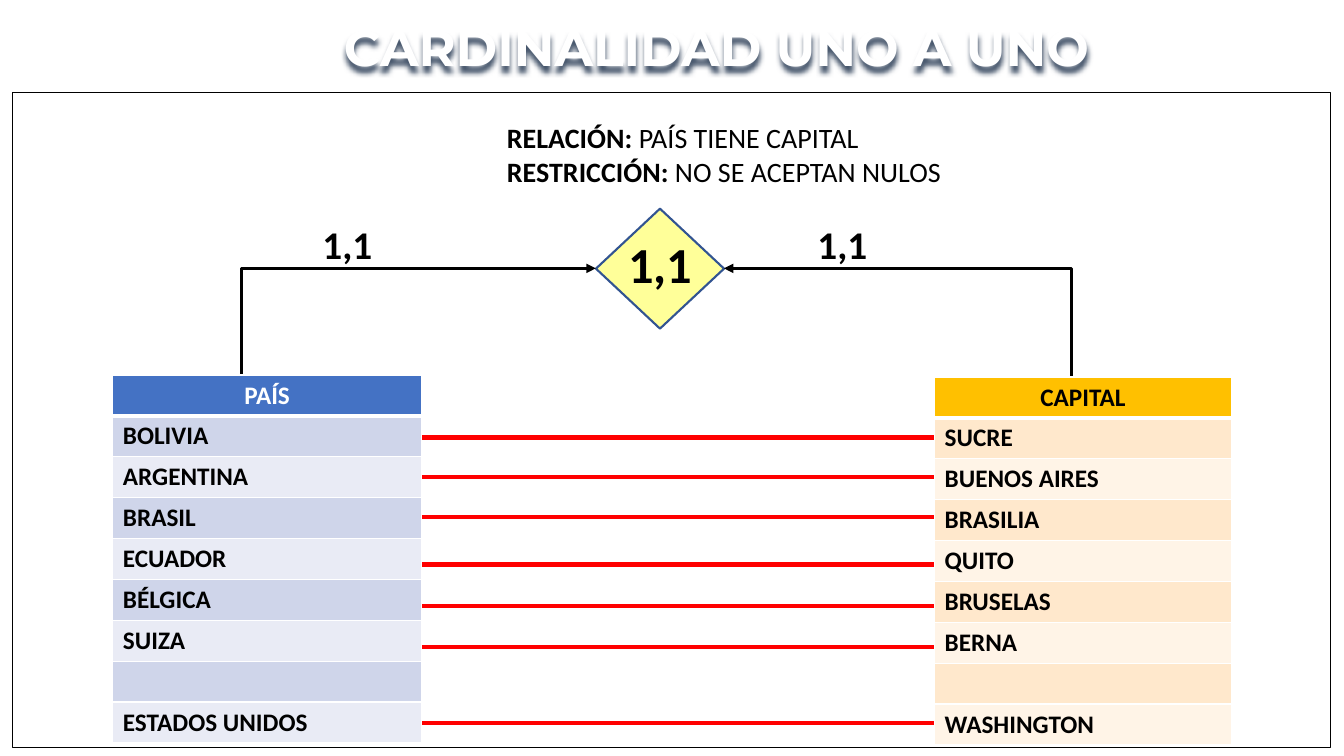
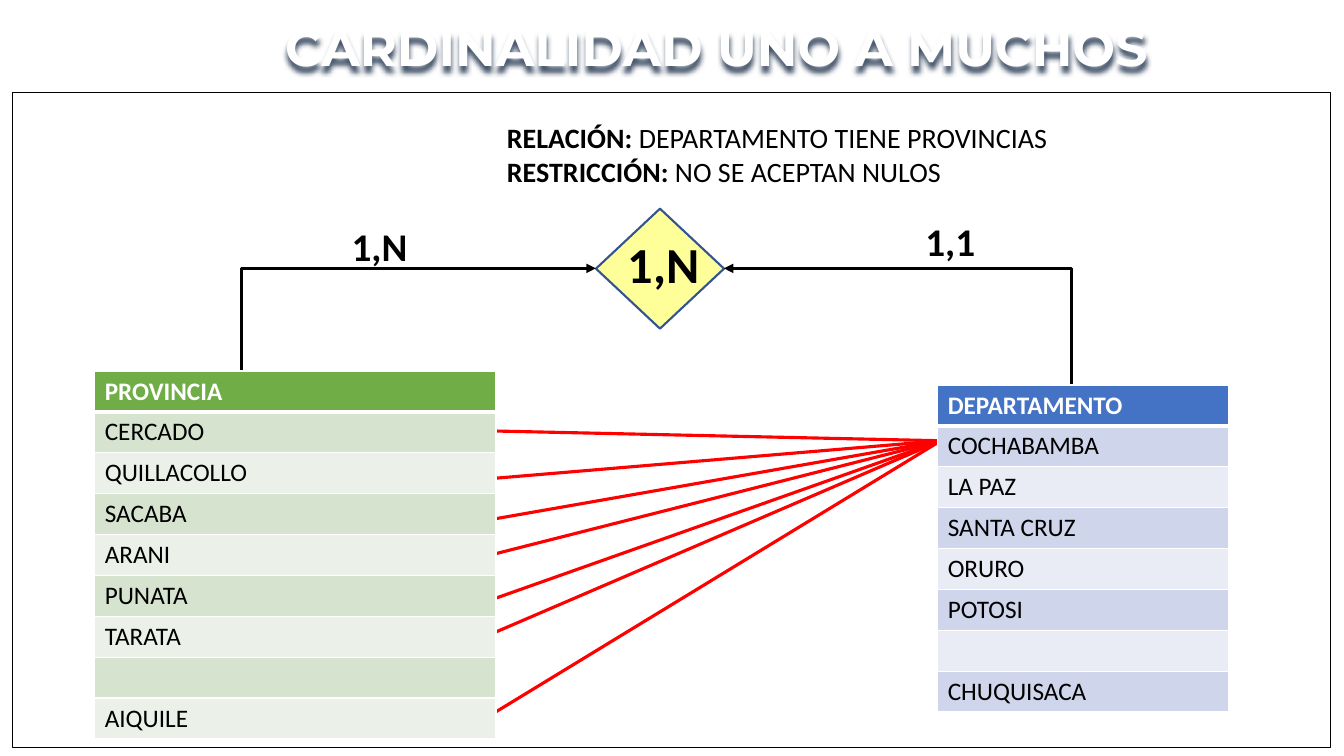
from lxml.etree import SubElement
from pptx import Presentation
from pptx.dml.color import RGBColor
from pptx.enum.shapes import MSO_CONNECTOR, MSO_SHAPE
from pptx.enum.text import MSO_AUTO_SIZE, PP_ALIGN
from pptx.oxml import parse_xml
from pptx.oxml.ns import nsdecls, qn
from pptx.util import Inches, Pt

W, H = Inches(13.33), Inches(7.5)
BLACK, WHITE, RED, YELLOW, NAVY = "000000", "FFFFFF", "FF0000", "FFFF99", "325491"
BLUE = ("4472C4", "CFD5EA", "E9EBF5")
GOLD = ("FFC000", "FFE8CC", "FFF4E7")
GREEN = ("70AD47", "D5E3CF", "EBF1E9")
FRAME = (0.9, 12.27, 98.12, 86.67)
TITLE = (10.73, 2.13, 85.15, 8.13)
DIAMOND = (44.34, 27.6, 9.53, 15.87)
ELBOWS = [(18, 58.27, 44.34, 35.5), (79.75, 56.9, 53.87, 35.5)]
ROW = 5.41
SHADOW = (
    f'<a:effectLst {nsdecls("a")}><a:outerShdw blurRad="50800" dist="50800" dir="5400000" '
    'algn="t" rotWithShape="0"><a:srgbClr val="44546A"/></a:outerShdw></a:effectLst>'
)


def rgb(color):
    return RGBColor.from_string(color)


def at(*shares):
    return [int(v * (W, H)[i % 2] / 100) for i, v in enumerate(shares)]


slides = [
    dict(
        title="CARDINALIDAD UNO A UNO",
        relation=" PAÍS TIENE CAPITAL",
        relation_width=33.83,
        center=("1,1", 6.3),
        labels=[("1,1", 23.26, 28.53, 5.25), ("1,1", 60.09, 28.53, 5.25)],
        links=[(30.8, y, 70, y) for y in (57.87, 63.07, 68.4, 74.67, 80.13, 85.6, 95.6)],
        link_width=3,
        bold=True,
        head_align=PP_ALIGN.CENTER,
        tables=[
            (8.4, 49.6, 22.96, BLUE, WHITE,
             ["PAÍS", "BOLIVIA", "ARGENTINA", "BRASIL", "ECUADOR", "BÉLGICA", "SUIZA", "",
              "ESTADOS UNIDOS"]),
            (69.54, 49.87, 22.06, GOLD, BLACK,
             ["CAPITAL", "SUCRE", "BUENOS AIRES", "BRASILIA", "QUITO", "BRUSELAS", "BERNA", "",
              "WASHINGTON"]),
        ],
    ),
    dict(
        title="CARDINALIDAD UNO A MUCHOS",
        relation=" DEPARTAMENTO TIENE PROVINCIAS",
        relation_width=42.01,
        center=("1,N", 6.9),
        labels=[("1,N", 25.43, 28.8, 5.7), ("1,1", 68.12, 28.13, 5.25)],
        links=[(x, y, 70, 58.3) for x, y in (
            (34.7, 56.93), (34.6, 63.6), (35, 69.2), (34.6, 74.27),
            (35.5, 80), (35.5, 84.67), (35.2, 96))],
        link_width=2.25,
        bold=False,
        head_align=PP_ALIGN.LEFT,
        tables=[
            (7.05, 49.07, 29.86, GREEN, WHITE,
             ["PROVINCIA", "CERCADO", "QUILLACOLLO", "SACABA", "ARANI", "PUNATA", "TARATA", "",
              "AIQUILE"]),
            (69.77, 50.93, 21.68, BLUE, WHITE,
             ["DEPARTAMENTO", "COCHABAMBA", "LA PAZ", "SANTA CRUZ", "ORURO", "POTOSI", "",
              "CHUQUISACA"]),
        ],
    ),
]

prs = Presentation()
prs.slide_width, prs.slide_height = W, H
blank = prs.slide_layouts[6]

for n, d in enumerate(slides):
    s = prs.slides.add_slide(blank)

    outlines = [(MSO_SHAPE.DIAMOND, DIAMOND, YELLOW, NAVY, 1.5)]
    if n == 0:
        outlines.append((MSO_SHAPE.RECTANGLE, FRAME, WHITE, BLACK, 0.75))
    for kind, area, fill, line, width in outlines:
        sp = s.shapes.add_shape(kind, *at(*area))
        sp.shadow.inherit = False
        sp.fill.solid()
        sp.fill.fore_color.rgb = rgb(fill)
        sp.line.color.rgb = rgb(line)
        sp.line.width = Pt(width)
        if kind == MSO_SHAPE.RECTANGLE:
            blank.shapes.element.append(sp.element)

    wires = [(MSO_CONNECTOR.ELBOW, e, BLACK, 2.25) for e in ELBOWS]
    wires += [(MSO_CONNECTOR.STRAIGHT, e, RED, d["link_width"]) for e in d["links"]]
    for kind, ends, color, width in wires:
        c = s.shapes.add_connector(kind, *at(*ends))
        c.line.color.rgb = rgb(color)
        c.line.width = Pt(width)
        spPr = c.element.spPr
        if kind == MSO_CONNECTOR.ELBOW:
            SubElement(spPr.find(qn("a:ln")), qn("a:tailEnd"), type="triangle")
            av = spPr.find(qn("a:prstGeom")).find(qn("a:avLst"))
            SubElement(av, qn("a:gd"), name="adj1", fmla="val 0")
        SubElement(spPr, qn("a:effectLst"))

    for x, y, width, (head, odd, even), head_ink, names in d["tables"]:
        area = at(x, y, width, ROW * len(names))
        tbl = s.shapes.add_table(len(names), 1, *area).table
        for i, name in enumerate(names):
            tbl.rows[i].height = at(0, ROW)[1]
            cell = tbl.cell(i, 0)
            cell.text = name
            p = cell.text_frame.paragraphs[0]
            p.alignment = PP_ALIGN.LEFT if i else d["head_align"]
            p.font.size = Pt(18)
            for r in p.runs:
                r.font.name = "Calibri"
                r.font.size = Pt(18)
                r.font.bold = i == 0 or d["bold"]
                r.font.color.rgb = rgb(BLACK if i else head_ink)
            tcPr = cell._tc.get_or_add_tcPr()
            for side in "LRTB":
                thick = (i == 0 and side == "B") or (i == 1 and side == "T")
                ln = SubElement(tcPr, qn(f"a:ln{side}"), w=str(Pt(3 if thick else 1)))
                SubElement(SubElement(ln, qn("a:solidFill")), qn("a:srgbClr"), val=WHITE)
            cell.fill.solid()
            cell.fill.fore_color.rgb = rgb((even, odd)[i % 2] if i else head)

    center, center_width = d["center"]
    rules = [("RELACIÓN:", d["relation"]), ("RESTRICCIÓN:", " NO SE ACEPTAN NULOS")]
    texts = [(TITLE, 36, [(d["title"],)]),
             ((45.99, 30.13, center_width, 9.47), 36, [(center,)]),
             ((36.98, 15.33, d["relation_width"], 10.27), 20, rules)]
    texts += [((x, y, width, 7.6), 28, [(label,)]) for label, x, y, width in d["labels"]]
    for area, size, lines in texts:
        is_title = area == TITLE
        sp = s.shapes.add_textbox(*at(*area))
        tf = sp.text_frame
        tf.word_wrap = is_title
        tf.auto_size = MSO_AUTO_SIZE.SHAPE_TO_FIT_TEXT
        if is_title:
            tf.margin_left = tf.margin_right = tf.margin_top = tf.margin_bottom = 0
            sp.element.spPr.append(parse_xml(SHADOW))
        for i, parts in enumerate(lines):
            p = tf.add_paragraph() if i else tf.paragraphs[0]
            p.alignment = PP_ALIGN.CENTER if is_title else PP_ALIGN.LEFT
            for j, part in enumerate(parts):
                r = p.add_run()
                r.text = part
                r.font.name = "Montserrat" if is_title else "Calibri"
                r.font.size = Pt(size)
                r.font.bold = j == 0
                r.font.color.rgb = rgb(WHITE if is_title else BLACK)

prs.save("out.pptx")
